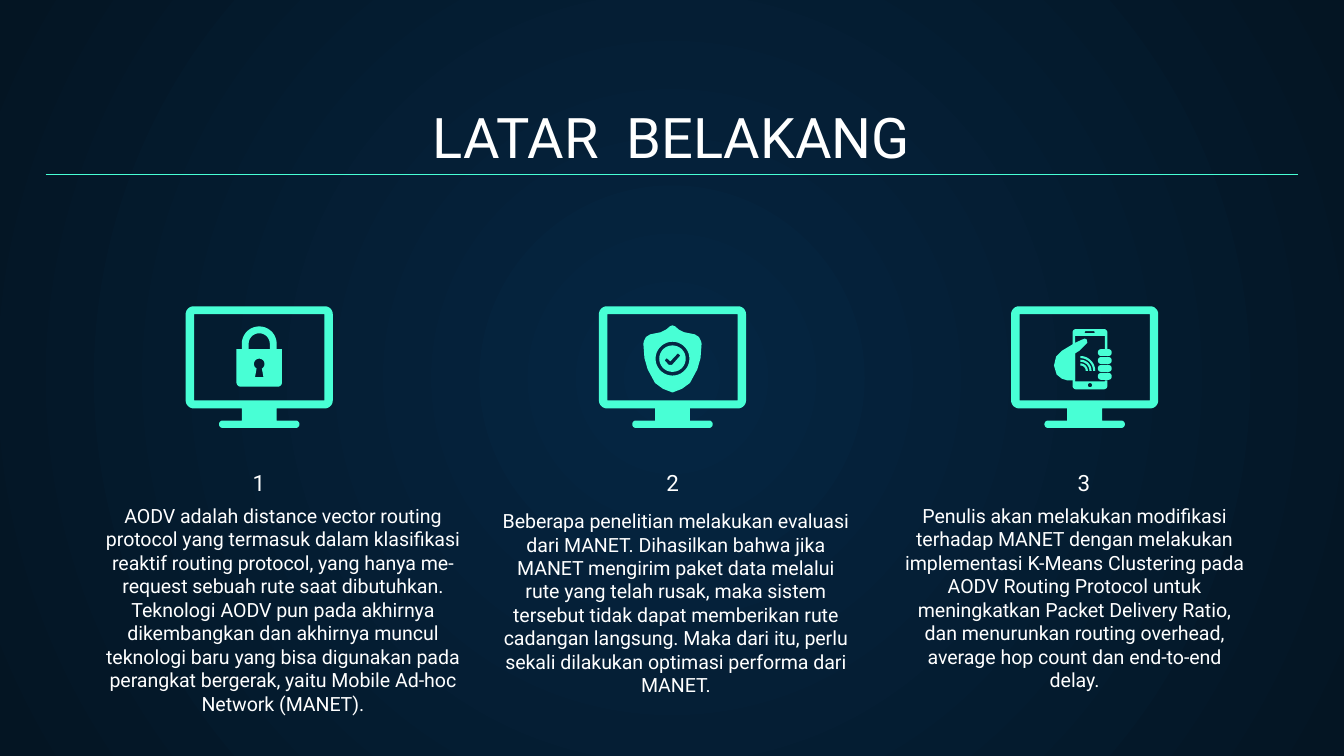
"""Build the LATAR BELAKANG slide: a title and three illustrated columns."""
from dataclasses import dataclass
from math import cos, radians, sin

from lxml import etree
from pptx import Presentation
from pptx import util as u
from pptx.dml import color
from pptx.enum import text
from pptx.oxml import ns

Point = tuple[float, float]
Contour = list[Point]
Outline = list[Contour]

WHITE, MINT = "FFFFFF", "48FFD5"
ICON_TOP = 5.79
UNITS_PER_CM = 1000


@dataclass
class Box:
    left: float
    top: float
    width: float
    height: float


@dataclass
class Column:
    number: str
    center: float
    number_left: float
    placeholder: int
    body_box: Box
    body: str
    icon: list[Outline]


def rgb(value: str) -> color.RGBColor:
    return color.RGBColor.from_string(value)


def arc(x: float, y: float, radius: float, start: int, end: int) -> Contour:
    steps = max(6, abs(end - start) // 10)
    angles = [radians(start + (end - start) * i / steps) for i in range(steps + 1)]
    return [(x + radius * cos(a), y + radius * sin(a)) for a in angles]


def rounded(box: Box, radius: float) -> Contour:
    left, top = box.left + radius, box.top + radius
    right, bottom = box.left + box.width - radius, box.top + box.height - radius
    corners = [(right, bottom), (left, bottom), (left, top), (right, top)]
    return [point for i, (x, y) in enumerate(corners)
            for point in arc(x, y, radius, 90 * i, 90 * i + 90)]


def mirrored(half: Contour) -> Contour:
    return half + [(-x, y) for x, y in reversed(half)]


def monitor() -> Outline:
    half = (arc(1.24, 0.15, 0.15, 270, 360) + arc(1.24, 1.78, 0.15, 0, 90)
            + [(0.33, 1.93), (0.33, 2.16)] + arc(0.69, 2.23, 0.07, -90, 90))
    return [mirrored(half), mirrored([(1.23, 0.15), (1.23, 1.78)])]


def padlock() -> list[Outline]:
    body = (arc(0, 0.71, 0.33, 270, 360) + [(0.33, 0.81), (0.43, 0.81)]
            + arc(0.35, 1.44, 0.08, 0, 90))
    shackle = arc(0, 0.71, 0.2, 180, 360) + [(0.2, 0.81), (-0.2, 0.81)]
    keyhole = arc(0, 1.09, 0.1, 120, 420) + [(0.08, 1.34), (-0.08, 1.34)]
    return [[mirrored(body), shackle, keyhole]]


def shield() -> list[Outline]:
    half = [(0, 0.36), (0.05, 0.38), (0.12, 0.44), (0.22, 0.49), (0.42, 0.53),
            (0.5, 0.58), (0.54, 0.66), (0.55, 0.71), (0.53, 0.98), (0.47, 1.19),
            (0.33, 1.45), (0.18, 1.56), (0, 1.63)]
    check = [(0.1, 0.89), (0.15, 0.93), (-0.01, 1.11), (-0.07, 1.11),
             (-0.15, 1.02), (-0.11, 0.98), (-0.04, 1.04)]
    return [[mirrored(half), arc(0, 0.99, 0.32, 0, 360)],
            [arc(0, 0.99, 0.25, 0, 360), check]]


def phone() -> list[Outline]:
    case = rounded(Box(-0.23, 0.43, 0.66, 1.14), 0.07)
    screen = [(-0.18, 0.56), (0.38, 0.56), (0.38, 0.81), (0.43, 0.81),
              (0.43, 1.4), (0.38, 1.4), (0.38, 1.42), (-0.18, 1.42)]
    speaker = rounded(Box(0, 0.47, 0.19, 0.04), 0.02)
    button = arc(0.1, 1.49, 0.04, 0, 360)
    fingers = [rounded(Box(0.25, 0.81 + 0.15 * i, 0.26, 0.13), 0.06) for i in range(4)]
    waves = [arc(-0.08, 1.22, radius, 270, 360) + arc(-0.08, 1.22, radius - 0.04, 360, 270)
             for radius in (0.14, 0.21, 0.28)]
    hand = [(-0.18, 0.69), (-0.43, 0.84), (-0.54, 0.95), (-0.58, 1.12), (-0.53, 1.29),
            (-0.43, 1.37), (-0.33, 1.4), (-0.18, 1.4), (-0.18, 0.89), (-0.1, 0.84),
            (0.05, 0.69), (0.04, 0.63), (0, 0.61), (-0.05, 0.63)]
    return [[case, screen, speaker, button, *fingers, *waves], [hand]]


def draw_outline(slide, outline: Outline, center: float) -> None:
    scaled = [[(x * UNITS_PER_CM, y * UNITS_PER_CM) for x, y in contour]
              for contour in outline]
    builder = slide.shapes.build_freeform(*scaled[0][0], scale=u.Cm(1) / UNITS_PER_CM)
    for contour in scaled:
        builder.move_to(*contour[0])
        builder.add_line_segments(contour[1:], close=True)
    shape = builder.convert_to_shape(u.Cm(center), u.Cm(ICON_TOP))
    shape.shadow.inherit = False
    shape.fill.solid()
    shape.fill.fore_color.rgb = rgb(MINT)
    shape.line.fill.background()


def write(shape, box: Box, words: str, size: float, anchor: text.MSO_ANCHOR) -> None:
    shape.left, shape.top = u.Cm(box.left), u.Cm(box.top)
    shape.width, shape.height = u.Cm(box.width), u.Cm(box.height)
    frame = shape.text_frame
    frame.text = words
    frame.word_wrap = True
    frame.auto_size = text.MSO_AUTO_SIZE.NONE
    frame.vertical_anchor = anchor
    frame.margin_left = frame.margin_right = u.Cm(0.25)
    frame.margin_top = frame.margin_bottom = u.Cm(0.25)
    paragraph = frame.paragraphs[0]
    paragraph.alignment = text.PP_ALIGN.CENTER
    paragraph.space_before = u.Pt(0)
    properties = paragraph._p.get_or_add_pPr()
    properties.set("marL", "0")
    properties.set("indent", "0")
    etree.SubElement(properties, ns.qn("a:buNone"))
    font = paragraph.runs[0].font
    font.name, font.size, font.bold = "Roboto", u.Pt(size), False
    font.color.rgb = rgb(WHITE)


def paint_background(slide) -> None:
    fill = slide.background.fill
    fill.gradient()
    for stop, position, value in zip(fill.gradient_stops, (0, 1), ("052643", "041523")):
        stop.position = position
        stop.color.rgb = rgb(value)
    gradient = slide.element.find(".//" + ns.qn("a:gradFill"))
    gradient.remove(gradient.find(ns.qn("a:lin")))
    circle = etree.SubElement(gradient, ns.qn("a:path"), path="circle")
    etree.SubElement(circle, ns.qn("a:fillToRect"), dict.fromkeys("ltrb", "50000"))


def draw_rule(slide) -> None:
    rule = slide.shapes.add_connector(1, u.Cm(0.86), u.Cm(3.3), u.Cm(24.54), u.Cm(3.3))
    rule.line.color.rgb = rgb(MINT)
    rule.line.width = u.Pt(0.75)
    etree.SubElement(rule.element.spPr, ns.qn("a:effectLst"))


def draw_column(slide, column: Column) -> None:
    write(slide.placeholders[column.placeholder], column.body_box, column.body, 10.5,
          text.MSO_ANCHOR.TOP)
    number = slide.shapes.add_textbox(0, 0, 0, 0)
    write(number, Box(column.number_left, 9.09, 5.77, 0.53), column.number, 12,
          text.MSO_ANCHOR.BOTTOM)
    for outline in [monitor(), *column.icon]:
        draw_outline(slide, outline, column.center)


COLUMNS = [
    Column("1", 4.9, 2.01, 1, Box(1.63, 9.27, 7.44, 3.66),
           "AODV adalah distance vector routing protocol yang termasuk dalam klasifikasi "
           "reaktif routing protocol, yang hanya me-request sebuah rute saat dibutuhkan. "
           "Teknologi AODV pun pada akhirnya dikembangkan dan akhirnya muncul teknologi "
           "baru yang bisa digunakan pada perangkat bergerak, yaitu Mobile Ad-hoc Network "
           "(MANET).", padlock()),
    Column("2", 12.71, 9.83, 2, Box(9.17, 9.37, 7.21, 2.69),
           "Beberapa penelitian melakukan evaluasi dari MANET. Dihasilkan bahwa jika MANET "
           "mengirim paket data melalui rute yang telah rusak, maka sistem tersebut tidak "
           "dapat memberikan rute cadangan langsung. Maka dari itu, perlu sekali dilakukan "
           "optimasi performa dari MANET.", shield()),
    Column("3", 20.5, 17.6, 4, Box(16.79, 9.27, 7.04, 3.23),
           "Penulis akan melakukan modifikasi terhadap MANET dengan melakukan implementasi "
           "K-Means Clustering pada AODV Routing Protocol untuk meningkatkan Packet Delivery "
           "Ratio, dan menurunkan routing overhead, average hop count dan end-to-end delay.",
           phone()),
]


def main() -> None:
    presentation = Presentation()
    presentation.slide_width, presentation.slide_height = u.Cm(25.4), u.Cm(14.29)
    slide = presentation.slides.add_slide(presentation.slide_layouts.get_by_name("Comparison"))
    paint_background(slide)
    write(slide.shapes.title, Box(0.86, 1.78, 23.67, 1.68), "LATAR  BELAKANG", 30,
          text.MSO_ANCHOR.BOTTOM)
    spare = slide.placeholders[3].element
    spare.getparent().remove(spare)
    for column in COLUMNS:
        draw_column(slide, column)
    draw_rule(slide)
    presentation.save("out.pptx")


if __name__ == "__main__":
    main()
